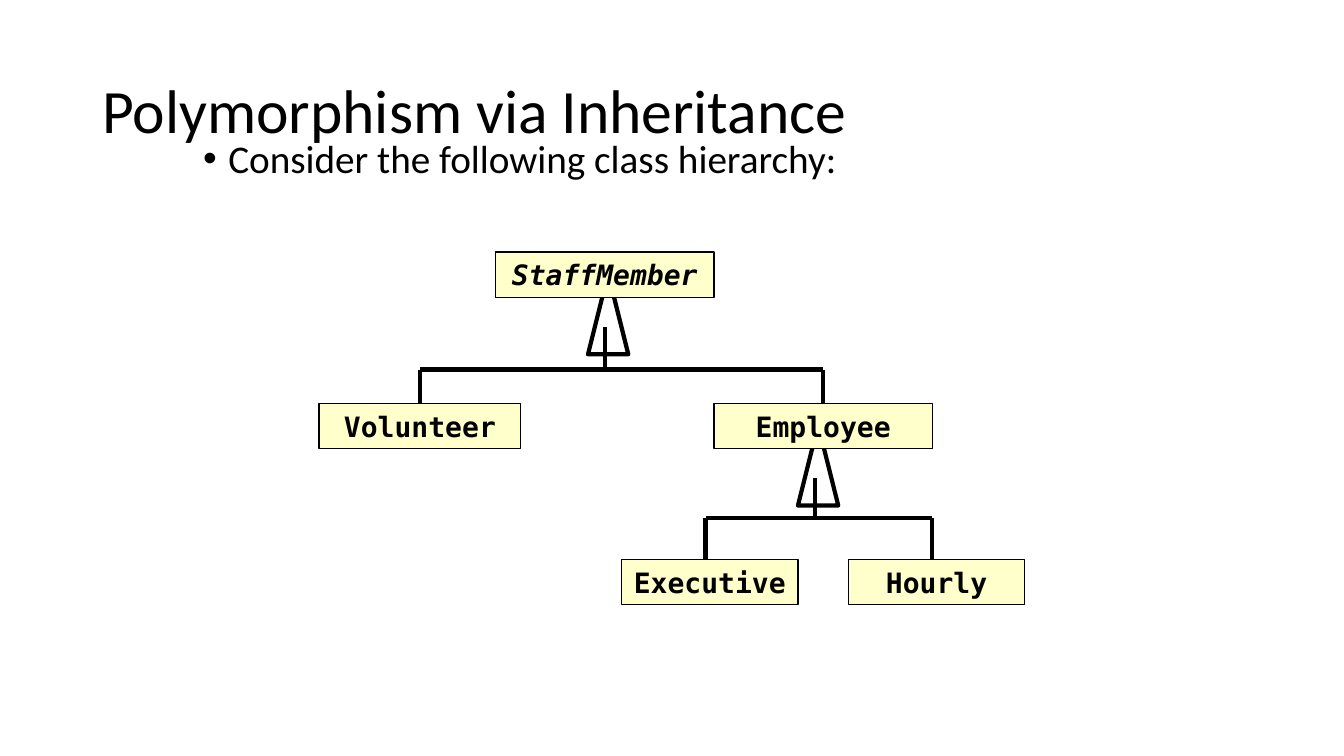
from lxml.etree import SubElement
from pptx import Presentation
from pptx.dml.color import RGBColor
from pptx.enum.shapes import MSO_CONNECTOR, MSO_SHAPE
from pptx.enum.text import MSO_ANCHOR, PP_ALIGN
from pptx.oxml.ns import qn
from pptx.util import Pt

BLACK, CREAM = "000000", "FFFFCC"
BOX_H = 32.4
HEADING = {"name": "Calibri", "size": Pt(44)}
BODY = {"name": "Calibri", "size": Pt(28)}
CLASS = {"name": "DejaVu Sans Mono", "size": Pt(20), "bold": True}
ABSTRACT = {**CLASS, "italic": True}


def color(target, value):
    target.rgb = RGBColor.from_string(value)


def outline(line, width):
    color(line.color, BLACK)
    line.width = Pt(width)


def write(tf, text, fmt):
    p = tf.paragraphs[0]
    r = p.add_run()
    r.text = text
    for name, value in fmt.items():
        setattr(r.font, name, value)
    color(r.font.color, BLACK)
    return p


def add_text(s, box, text, fmt, anchor):
    tf = s.shapes.add_textbox(*map(Pt, box)).text_frame
    tf.word_wrap = True
    tf.vertical_anchor = anchor
    p = write(tf, text, fmt)
    p.line_spacing = 0.9
    return p


def add_bullet(p):
    pPr = p._p.get_or_add_pPr()
    pPr.set("marL", str(Pt(18)))
    pPr.set("indent", str(-Pt(18)))
    SubElement(pPr, qn("a:buFont")).set("typeface", "Arial")
    SubElement(pPr, qn("a:buChar")).set("char", "•")


def add_line(s, x1, y1, x2, y2):
    cxn = s.shapes.add_connector(MSO_CONNECTOR.STRAIGHT, *map(Pt, (x1, y1, x2, y2)))
    outline(cxn.line, 3)
    SubElement(cxn._element.spPr, qn("a:effectLst"))


def add_inheritance(s, parent_top, stem_x, bar_y, child_xs, child_top):
    """Hollow triangle under the parent, a stem, a bar and a drop to each child."""
    sp = s.shapes.add_shape(MSO_SHAPE.ISOSCELES_TRIANGLE, Pt(stem_x - 12),
                            Pt(parent_top + 15.5), Pt(28.8), Pt(57.6))
    sp.shadow.inherit = False
    sp.fill.background()
    outline(sp.line, 3)
    add_line(s, stem_x, bar_y + 1, stem_x, parent_top + 53.6)
    add_line(s, child_xs[0], bar_y, child_xs[-1], bar_y)
    for x in child_xs:
        add_line(s, x, bar_y, x, child_top)


def add_class(s, name, left, top, width, fmt=CLASS):
    sp = s.shapes.add_shape(MSO_SHAPE.RECTANGLE, *map(Pt, (left, top, width, BOX_H)))
    sp.shadow.inherit = False
    sp.fill.solid()
    color(sp.fill.fore_color, CREAM)
    outline(sp.line, 1)
    tf = sp.text_frame
    tf.word_wrap = True
    tf.vertical_anchor = MSO_ANCHOR.MIDDLE
    write(tf, name, fmt).alignment = PP_ALIGN.CENTER


def main():
    prs = Presentation()
    prs.slide_width, prs.slide_height = Pt(960), Pt(540)
    s = prs.slides.add_slide(prs.slide_layouts[6])

    # Title and introduction
    add_text(s, (66, 28.8, 828, 104.4), "Polymorphism via Inheritance",
             HEADING, MSO_ANCHOR.MIDDLE)
    p = add_text(s, (138, 96, 672, 78), "Consider the following class hierarchy:",
                 BODY, MSO_ANCHOR.TOP)
    p.space_before = Pt(10)
    add_bullet(p)

    # Inheritance links, behind the class boxes
    top, middle, bottom = 180, 288, 399.6
    add_inheritance(s, top, 432, 264, (300, 588), middle)
    add_inheritance(s, middle, 582, 370, (504, 666), bottom)

    # Classes
    add_class(s, "StaffMember", 354, top, 156, ABSTRACT)
    add_class(s, "Volunteer", 228, middle, 144)
    add_class(s, "Employee", 510, middle, 156)
    add_class(s, "Executive", 444, bottom, 126)
    add_class(s, "Hourly", 606, bottom, 126)

    prs.save("out.pptx")


main()
